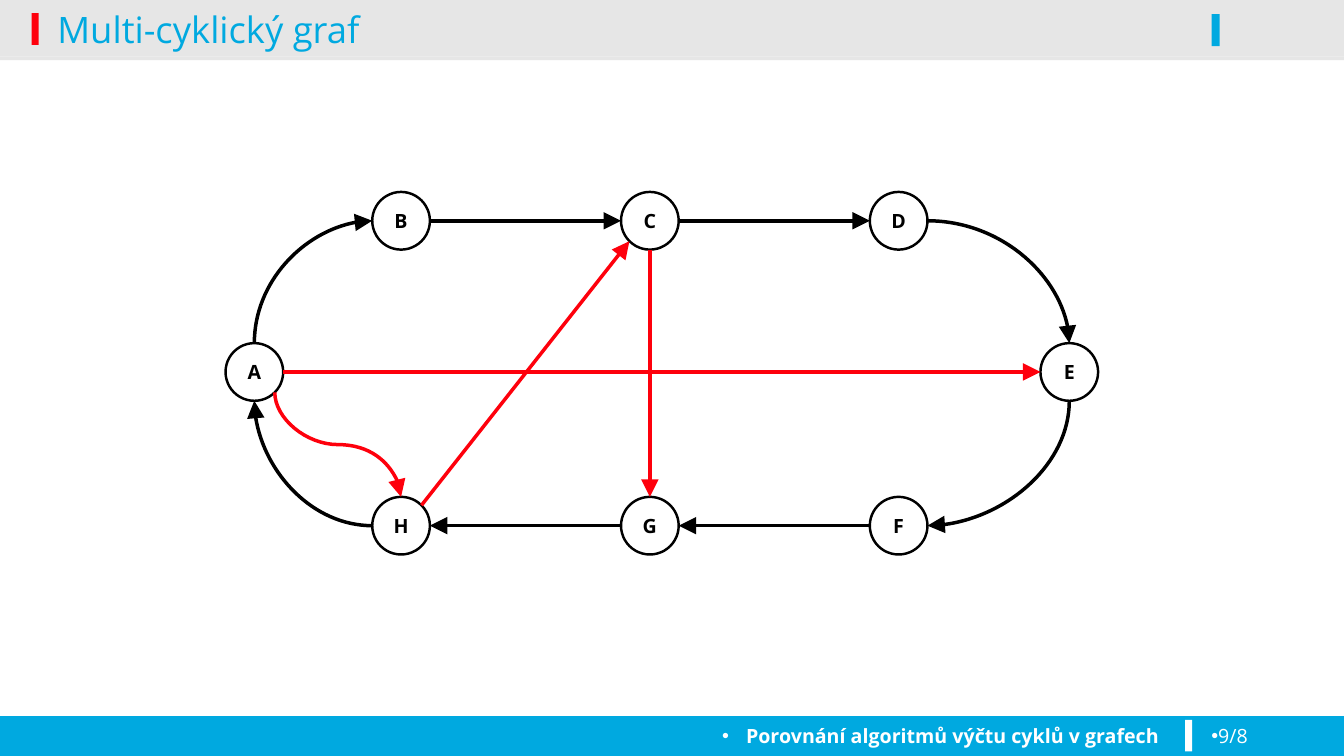
from lxml.etree import SubElement
from pptx import Presentation
from pptx.dml.color import RGBColor
from pptx.enum.shapes import MSO_CONNECTOR, MSO_SHAPE
from pptx.enum.text import MSO_ANCHOR, PP_ALIGN
from pptx.oxml.ns import qn
from pptx.util import Pt

BLUE, RED, WHITE, BLACK, GREY = "00A9E0", "FE000C", "FFFFFF", "000000", "E6E6E6"


def paint(target, color):
    if hasattr(target, "solid"):
        target.solid()
        target = target.fore_color
    target.rgb = RGBColor.from_string(color)


def write(frame, text, size, color, bold, align):
    frame.word_wrap = True
    para = frame.paragraphs[0]
    para.alignment = align
    span = para.add_run()
    span.text = text
    for name, value in {"name": "Open Sans", "size": Pt(size), "bold": bold}.items():
        setattr(span.font, name, value)
    paint(span.font.color, color)
    return para


deck = Presentation()
deck.slide_width, deck.slide_height = Pt(960), Pt(540)
page = deck.slides.add_slide(deck.slide_layouts[5])

bars = [
    (0, 511.6, 960, 28.4, BLUE),
    (0, 40.5, 960, 2.5, GREY),
    (0, 0, 960, 40.5, GREY),
    (22.7, 9.3, 5, 22.7, RED),
    (846.5, 514.3, 5, 22.5, WHITE),
    (865.4, 10.2, 5.8, 22.8, BLUE),
]
for left, top, width, height, color in bars:
    bar = page.shapes.add_shape(MSO_SHAPE.RECTANGLE, Pt(left), Pt(top), Pt(width), Pt(height))
    bar.shadow.inherit = False
    bar.line.fill.background()
    paint(bar.fill, color)

footers = [
    (11.5, 823.7, "Porovnání algoritmů výčtu cyklů v grafech", True, PP_ALIGN.RIGHT, 17),
    (858.2, 87, "9/8", False, PP_ALIGN.LEFT, 0),
]
for left, width, text, bold, align, indent in footers:
    box = page.shapes.add_textbox(Pt(left), Pt(513.5), Pt(width), Pt(26))
    para = write(box.text_frame, text, 14, WHITE, bold, align)
    settings = para._p.get_or_add_pPr()
    settings.set("marL", str(Pt(indent)))
    settings.set("indent", str(-Pt(indent)))
    SubElement(settings, qn("a:buFont"), typeface="Arial")
    SubElement(settings, qn("a:buChar"), char="•")

title = page.shapes.title
for name, value in {"left": 33.8, "top": -8, "width": 828, "height": 57}.items():
    setattr(title, name, Pt(value))
title.text_frame.vertical_anchor = MSO_ANCHOR.MIDDLE
write(title.text_frame, "Multi-cyklický graf", 26, BLUE, False, PP_ALIGN.LEFT)
title._element.getparent().append(title._element)

radius = 20.6
diagonal = 14.6
middle, pitch = 464.2, 177.7
upper, center, lower = 157.7, 265.7, 375.5
nodes = {"A": (181.7, center), "E": (763.8, center)}
for column, (above, below) in enumerate(["BH", "CG", "DF"]):
    across = middle + (column - 1) * pitch
    nodes[above] = (across, upper)
    nodes[below] = (across, lower)

for letter, (across, down) in nodes.items():
    node = page.shapes.add_shape(
        MSO_SHAPE.OVAL, Pt(across - radius), Pt(down - radius), Pt(2 * radius), Pt(2 * radius)
    )
    node.shadow.inherit = False
    paint(node.fill, WHITE)
    paint(node.line.fill, BLACK)
    node.line.width = Pt(1.75)
    frame = node.text_frame
    for side in ("left", "right", "top", "bottom"):
        setattr(frame, "margin_" + side, 0)
    frame.vertical_anchor = MSO_ANCHOR.MIDDLE
    write(frame, letter, 14, BLACK, True, PP_ALIGN.CENTER)

sides = {
    "top": (0, -radius), "bottom": (0, radius), "left": (-radius, 0), "right": (radius, 0),
    "top right": (diagonal, -diagonal), "bottom left": (-diagonal, diagonal),
    "bottom right": (diagonal, diagonal),
}
edges = [
    ("A", "top", "B", "left", BLACK, "curvedConnector2"),
    ("B", "right", "C", "left", BLACK, "line"),
    ("C", "right", "D", "left", BLACK, "line"),
    ("D", "right", "E", "top", BLACK, "curvedConnector2"),
    ("E", "bottom", "F", "right", BLACK, "curvedConnector2"),
    ("F", "left", "G", "right", BLACK, "line"),
    ("G", "left", "H", "right", BLACK, "line"),
    ("H", "left", "A", "bottom", BLACK, "curvedConnector2"),
    ("H", "top right", "C", "bottom left", RED, "line"),
    ("C", "bottom", "G", "top", RED, "line"),
    ("A", "right", "E", "left", RED, "line"),
    ("A", "bottom right", "H", "top", RED, "curvedConnector3"),
]
for source, leaving, target, entering, color, preset in edges:
    x1, y1 = [place + shift for place, shift in zip(nodes[source], sides[leaving])]
    x2, y2 = [place + shift for place, shift in zip(nodes[target], sides[entering])]
    curved = preset != "line"
    turned = curved and leaving not in ("left", "right")
    if turned:
        mid_x, mid_y = (x1 + x2) / 2, (y1 + y2) / 2
        half_run, half_rise = (y2 - y1) / 2, (x1 - x2) / 2
        x1, x2 = mid_x - half_run, mid_x + half_run
        y1, y2 = mid_y - half_rise, mid_y + half_rise
    kind = MSO_CONNECTOR.CURVE if curved else MSO_CONNECTOR.STRAIGHT
    edge = page.shapes.add_connector(kind, Pt(x1), Pt(y1), Pt(x2), Pt(y2))
    edge.line.width = Pt(2.5)
    paint(edge.line.fill, color)
    SubElement(edge.line._get_or_add_ln(), qn("a:tailEnd"), type="triangle", w="lg", len="lg")
    properties = edge._element.spPr
    SubElement(properties, qn("a:effectLst"))
    properties.find(qn("a:prstGeom")).set("prst", preset)
    if turned:
        properties.find(qn("a:xfrm")).set("rot", str(90 * 60000))

deck.save("out.pptx")
